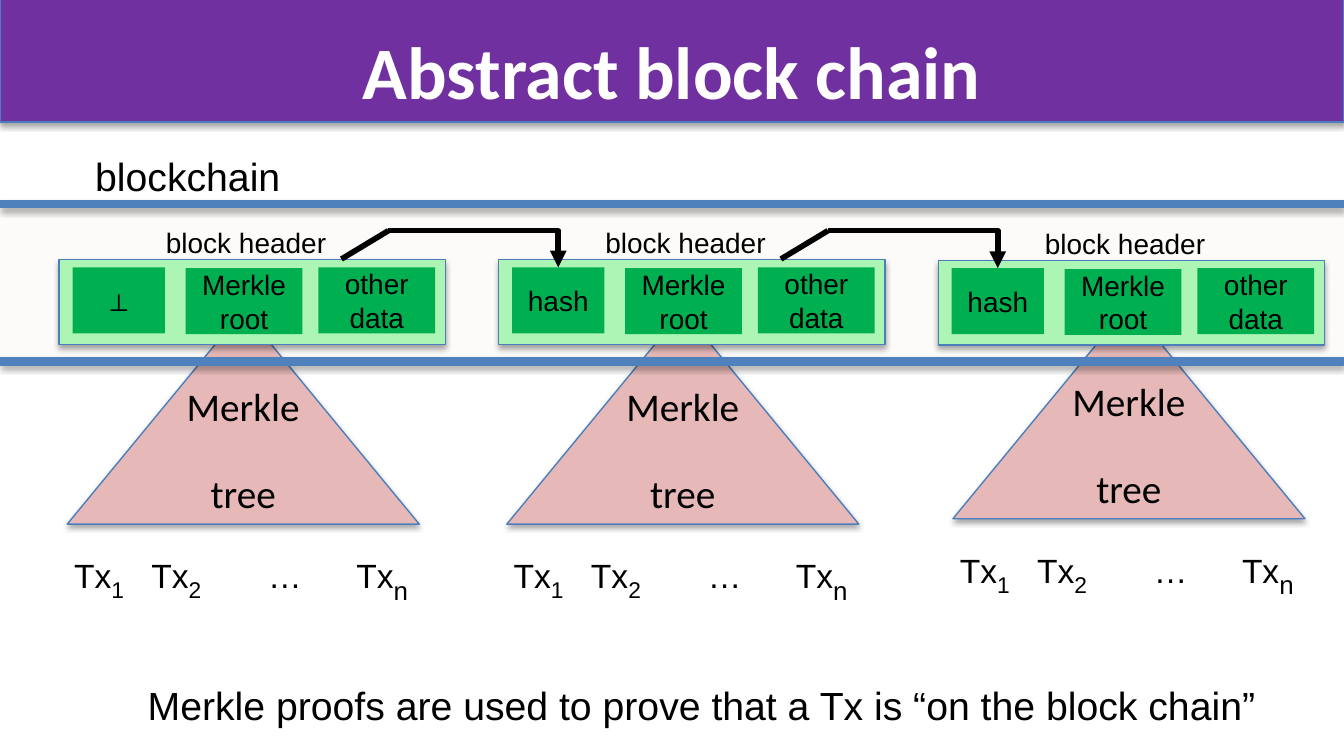
from dataclasses import dataclass

from lxml.etree import SubElement
from pptx import Presentation
from pptx.dml.color import RGBColor
from pptx.enum.shapes import MSO_CONNECTOR as Connector, MSO_SHAPE as Preset
from pptx.enum.text import MSO_ANCHOR as Anchor, PP_ALIGN as Align
from pptx.oxml.ns import qn
from pptx.util import Pt

PURPLE = RGBColor(0x70, 0x30, 0xA0)
OUTLINE = RGBColor(0x4B, 0x7E, 0xBC)
RAIL = RGBColor(0x4F, 0x81, 0xBD)
BAND = RGBColor(0xFC, 0xFB, 0xF9)
PINK = RGBColor(0xE6, 0xB9, 0xB8)
LIGHT_GREEN = RGBColor(0xAD, 0xF5, 0xB4)
GREEN = RGBColor(0x00, 0xB0, 0x50)
BLACK = RGBColor(0, 0, 0)
WHITE = RGBColor(255, 255, 255)

SLIDE_WIDTH, SLIDE_HEIGHT = 720, 405
BAND_TOP, BAND_BOTTOM = 109.4, 193.7
BLOCK_LEFT, BLOCK_PITCH = 31.7, 235.45
ARROW_TOP = 123.6
TX_TABS = (41.4, 104, 151.2)


@dataclass
class Box:
    left: float
    top: float
    width: float
    height: float

    def lengths(self):
        return Pt(self.left), Pt(self.top), Pt(self.width), Pt(self.height)


@dataclass
class Block:
    left: float
    top: float
    tree_left: float
    tree_top: float
    link: str
    link_bold: bool = False


@dataclass
class Run:
    text: str
    size: float
    subscript: bool = False


BLOCKS = [
    Block(BLOCK_LEFT, 139.2, 36, 166.3, "⊥", True),
    Block(BLOCK_LEFT + BLOCK_PITCH, 139.2, 271.5, 166.3, "hash"),
    Block(BLOCK_LEFT + 2 * BLOCK_PITCH, 139.6, 510.5, 163.4, "hash"),
]
TRANSACTIONS = [
    Run("Tx", 18), Run("1", 21, True), Run("\tTx", 18), Run("2", 21, True),
    Run("\t…\tTx", 18), Run("n", 24, True),
]


def set_shadow(shape, visible: bool) -> None:
    effects = SubElement(shape._element.spPr, qn("a:effectLst"))
    if visible:
        shadow = SubElement(effects, qn("a:outerShdw"), blurRad=str(Pt(3.1)),
                            dist=str(Pt(1.8)), dir="5400000", rotWithShape="0")
        color = SubElement(shadow, qn("a:srgbClr"), val="000000")
        SubElement(color, qn("a:alpha"), val="35000")


def add_block_shape(slide, preset, box: Box, fill: RGBColor, outlined: bool):
    shape = slide.shapes.add_shape(preset, *box.lengths())
    shape.fill.solid()
    shape.fill.fore_color.rgb = fill
    if outlined:
        shape.line.color.rgb = OUTLINE
        shape.line.width = Pt(0.75)
    else:
        shape.line.fill.background()
    set_shadow(shape, outlined)
    return shape


def add_run(paragraph, text: str, size: float, font: str = "Arial",
            color: RGBColor = BLACK, bold: bool = False):
    run = paragraph.add_run()
    run.text = text
    run.font.size = Pt(size)
    run.font.name = font
    run.font.bold = bold
    run.font.color.rgb = color
    return run


def add_centered_lines(shape, lines: list[str], size: float,
                       font: str = "Arial", bold: bool = False) -> None:
    shape.text_frame.word_wrap = True
    shape.text_frame.vertical_anchor = Anchor.MIDDLE
    paragraph = shape.text_frame.paragraphs[0]
    paragraph.alignment = Align.CENTER
    for index, line in enumerate(lines):
        if index:
            paragraph.add_line_break()
        add_run(paragraph, line, size, font, bold=bold)


def add_text_box(slide, box: Box):
    frame = slide.shapes.add_textbox(*box.lengths()).text_frame
    frame.word_wrap = True
    return frame.paragraphs[0]


def add_line(slide, kind, start: tuple, end: tuple, color: RGBColor,
             width: float, shadow: bool = False):
    connector = slide.shapes.add_connector(
        kind, *(Pt(value) for value in (*start, *end)))
    connector.line.color.rgb = color
    connector.line.width = Pt(width)
    set_shadow(connector, shadow)
    return connector


def add_tree(slide, block: Block) -> None:
    tree = add_block_shape(slide, Preset.TRAPEZOID,
                           Box(block.tree_left, block.tree_top, 188.6, 114.5), PINK, True)
    tree.adjustments[0] = 0.901
    frame = tree.text_frame
    frame.margin_left = frame.margin_right = frame.margin_top = 0
    add_centered_lines(tree, ["Merkle ", "tree"], 21, "Calibri")

    paragraph = add_text_box(
        slide, Box(block.tree_left - 3.4, block.tree_top + 121.7, 198, 28.8))
    tabs = SubElement(paragraph._p.get_or_add_pPr(), qn("a:tabLst"))
    for position in TX_TABS:
        SubElement(tabs, qn("a:tab"), pos=str(Pt(position)), algn="l")
    for part in TRANSACTIONS:
        run = add_run(paragraph, part.text, part.size)
        if part.subscript:
            run._r.get_or_add_rPr().set("baseline", "-25000")


def add_header(slide, block: Block) -> None:
    add_block_shape(slide, Preset.RECTANGLE,
                    Box(block.left, block.top, 206.9, 45.3), LIGHT_GREEN, True)
    label = add_text_box(slide, Box(block.left + 50.1, block.top - 21.8, 101.5, 25.2))
    add_run(label, "block header", 15)
    fields = [
        (7.2, 4.1, 49.5, [block.link], block.link_bold),
        (67.8, 4.5, 62.6, ["Merkle", "root"], False),
        (138.9, 4.1, 62.6, ["other", "data"], False),
    ]
    for left, top, width, lines, bold in fields:
        field = add_block_shape(slide, Preset.RECTANGLE,
                                Box(block.left + left, block.top + top, width, 35.3),
                                GREEN, False)
        add_centered_lines(field, lines, 15, bold=bold)


def add_hash_link(slide, source: Block, target: Block) -> None:
    corner = (source.left + 176.4, ARROW_TOP)
    arrow = add_line(slide, Connector.ELBOW, corner,
                     (target.left + 31.95, target.top + 4.1), BLACK, 3)
    arrow._element.spPr.find(qn("a:prstGeom")).set("prst", "bentConnector2")
    SubElement(arrow.line._get_or_add_ln(), qn("a:tailEnd"), type="triangle")
    add_line(slide, Connector.STRAIGHT, (source.left + 151.2, source.top - 0.4),
             corner, BLACK, 3)


def main() -> None:
    presentation = Presentation()
    presentation.slide_width = Pt(SLIDE_WIDTH)
    presentation.slide_height = Pt(SLIDE_HEIGHT)
    slide = presentation.slides.add_slide(presentation.slide_layouts[6])

    add_block_shape(slide, Preset.RECTANGLE, Box(0, -0.5, SLIDE_WIDTH, 66), PURPLE, True)
    add_block_shape(slide, Preset.RECTANGLE,
                    Box(0, BAND_TOP, SLIDE_WIDTH, BAND_BOTTOM - BAND_TOP), BAND, False)
    for block in BLOCKS:
        add_tree(slide, block)

    title = add_text_box(slide, Box(36, 10.1, 648, 49))
    title.alignment = Align.CENTER
    add_run(title, "Abstract block chain", 39.6, "Calibri", WHITE, True)
    for height in (BAND_TOP, BAND_BOTTOM):
        add_line(slide, Connector.STRAIGHT, (0, height), (SLIDE_WIDTH, height),
                 RAIL, 4.5, True)
    add_run(add_text_box(slide, Box(43.9, 77.8, 115, 32.4)), "blockchain", 21)

    for block in BLOCKS:
        add_header(slide, block)
    for source, target in zip(BLOCKS, BLOCKS[1:]):
        add_hash_link(slide, source, target)
    add_run(add_text_box(slide, Box(72, 361.7, 613.5, 32.4)),
            "Merkle proofs are used to prove that a Tx is “on the block chain”", 21)
    presentation.save("out.pptx")


if __name__ == "__main__":
    main()
